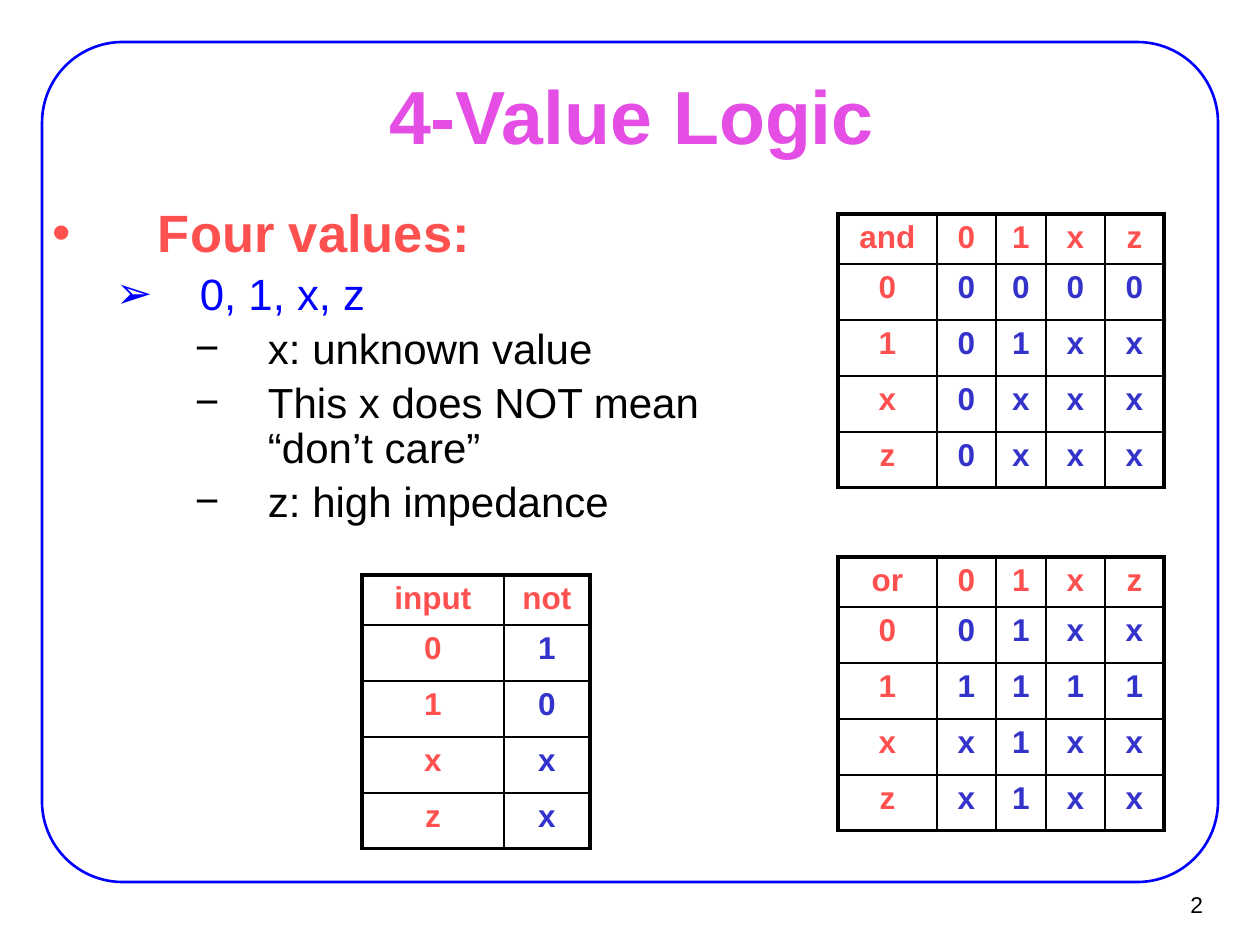
"""Builds the 4-Value Logic slide with its and, or and not truth tables."""
from dataclasses import dataclass
from typing import Any

from lxml import etree
from pptx import Presentation
from pptx.dml.color import RGBColor
from pptx.enum.shapes import MSO_SHAPE
from pptx.enum.text import MSO_ANCHOR, PP_ALIGN
from pptx.oxml.ns import qn
from pptx.util import Emu, Pt

ROUNDED = MSO_SHAPE.ROUNDED_RECTANGLE
MIDDLE, TOP = MSO_ANCHOR.MIDDLE, MSO_ANCHOR.TOP
LEFT, CENTER, RIGHT = PP_ALIGN.LEFT, PP_ALIGN.CENTER, PP_ALIGN.RIGHT
PX_PER_INCH = 126


@dataclass(frozen=True)
class Theme:
    font: str = "Arial"
    title: str = "E44EE4"
    heading: str = "FF5050"
    accent: str = "0000FF"
    value: str = "3333CC"
    ink: str = "000000"
    title_size: int = 43
    heading_size: int = 30
    list_size: int = 25
    detail_size: int = 24
    table_size: int = 18
    number_size: int = 13
    frame_line: float = 1.5
    outer_line: float = 2.25
    inner_line: float = 1


@dataclass(frozen=True)
class Style:
    size: int
    color: str
    bold: bool = False
    align: PP_ALIGN = LEFT
    bullet: str = ""
    level: int = 0
    margin: int = 0
    hanging: int = 0
    spacing: tuple[tuple[str, int], ...] = ()


@dataclass(frozen=True)
class TextBlock:
    area: tuple[int, int, int, int]
    insets: tuple[int, int]
    anchor: MSO_ANCHOR
    lines: tuple[tuple[str, Style], ...]


@dataclass(frozen=True)
class TruthTable:
    left: int
    top: int
    columns: tuple[int, ...]
    rows: tuple[str, ...]


THEME = Theme()
BEFORE = (("spcBef", 20),)
LIST_SPACING = (("lnSpc", 90),) + BEFORE
TITLE = Style(THEME.title_size, THEME.title, True, CENTER)
NUMBER = Style(THEME.number_size, THEME.ink, align=RIGHT)
HEADING = Style(THEME.heading_size, THEME.heading, True, LEFT, "•", 0, 105, 105, LIST_SPACING)
VALUES = Style(THEME.list_size, THEME.accent, False, LEFT, "➢", 1, 147, 84, LIST_SPACING)
DETAIL = Style(THEME.detail_size, THEME.ink, False, LEFT, "−", 2, 215, 73, LIST_SPACING)
LABEL_CELL = Style(THEME.table_size, THEME.heading, True, CENTER, spacing=BEFORE)
VALUE_CELL = Style(THEME.table_size, THEME.value, True, CENTER, spacing=BEFORE)

FRAME = (42, 42, 1176, 840)
TEXT_BLOCKS = (
    TextBlock((1137, 881, 77, 47), (11, 5), MIDDLE, (("2", NUMBER),)),
    TextBlock((96, 83, 1071, 62), (14, 8), MIDDLE, (("4-Value Logic", TITLE),)),
    TextBlock((39, 199, 738, 312), (14, 8), TOP, (
        ("Four values:", HEADING),
        ("0, 1, x, z", VALUES),
        ("x: unknown value", DETAIL),
        ("This x does NOT mean “don’t care”", DETAIL),
        ("z: high impedance", DETAIL),
    )),
)
GATE_COLUMNS = (99, 59, 50, 59, 59)
HEADER_HEIGHT, ROW_HEIGHT = 50, 56
TRUTH_TABLES = (
    TruthTable(838, 214, GATE_COLUMNS,
               ("and 0 1 x z", "0 0 0 0 0", "1 0 1 x x", "x 0 x x x", "z 0 x x x")),
    TruthTable(838, 557, GATE_COLUMNS,
               ("or 0 1 x z", "0 0 1 x x", "1 1 1 1 1", "x x 1 x x", "z x 1 x x")),
    TruthTable(362, 575, (142, 86), ("input not", "0 1", "1 0", "x x", "z x")),
)


def px(length: int) -> Emu:
    """Convert whole pixels to EMU."""
    return Emu(round(length * 914400 / PX_PER_INCH))


def apply(target: Any, values: dict[str, Any]) -> None:
    """Set each named attribute on the target."""
    for name, value in values.items():
        setattr(target, name, value)


def margins(horizontal: int, vertical: int) -> dict[str, Emu]:
    """Return the four inner margins of a box or cell."""
    return {"margin_left": px(horizontal), "margin_right": px(horizontal),
            "margin_top": px(vertical), "margin_bottom": px(vertical)}


def write(para: Any, text: str, style: Style) -> None:
    """Fill one paragraph with styled text."""
    apply(para, {"alignment": style.align, "level": style.level})
    properties = para._p.get_or_add_pPr()
    properties.set("marL", str(px(style.margin)))
    properties.set("indent", str(-px(style.hanging)))
    for tag, percent in style.spacing:
        holder = etree.SubElement(properties, qn(f"a:{tag}"))
        etree.SubElement(holder, qn("a:spcPct"), val=str(percent * 1000))
    if style.bullet:
        etree.SubElement(properties, qn("a:buFont"), typeface=THEME.font)
        etree.SubElement(properties, qn("a:buChar"), char=style.bullet)
    span = para.add_run()
    span.text = text
    apply(span.font, {"name": THEME.font, "size": Pt(style.size), "bold": style.bold})
    span.font.color.rgb = RGBColor.from_string(style.color)


def draw_frame(page: Any) -> None:
    """Draw the rounded border of the page."""
    frame = page.shapes.add_shape(ROUNDED, *map(px, FRAME))
    frame.shadow.inherit = False
    frame.adjustments[0] = 0.096
    frame.fill.background()
    frame.line.color.rgb = RGBColor.from_string(THEME.accent)
    frame.line.width = Pt(THEME.frame_line)


def draw_text(page: Any, block: TextBlock) -> None:
    """Draw a text box with one paragraph per line."""
    frame = page.shapes.add_textbox(*map(px, block.area)).text_frame
    apply(frame, {"word_wrap": True, "vertical_anchor": block.anchor, **margins(*block.insets)})
    for index, (text, style) in enumerate(block.lines):
        write(frame.add_paragraph() if index else frame.paragraphs[0], text, style)


def draw_borders(cell: Any, outer_sides: dict[str, bool]) -> None:
    """Rule a cell with heavy lines on the outer sides."""
    properties = cell._tc.get_or_add_tcPr()
    for index, (side, is_outer) in enumerate(outer_sides.items()):
        width = Pt(THEME.outer_line if is_outer else THEME.inner_line)
        line = etree.Element(qn(f"a:ln{side}"), w=str(width))
        fill = etree.SubElement(line, qn("a:solidFill"))
        etree.SubElement(fill, qn("a:srgbClr"), val=THEME.ink)
        properties.insert(index, line)


def draw_table(page: Any, truth: TruthTable) -> None:
    """Draw a truth table with coloured labels and values."""
    heights = [HEADER_HEIGHT] + [ROW_HEIGHT] * (len(truth.rows) - 1)
    area = (truth.left, truth.top, sum(truth.columns), sum(heights))
    table = page.shapes.add_table(len(heights), len(truth.columns), *map(px, area)).table
    apply(table, {"first_row": False, "horz_banding": False})
    for column, width in zip(table.columns, truth.columns):
        column.width = px(width)
    last_row, last_column = len(heights) - 1, len(truth.columns) - 1
    for r, (height, row) in enumerate(zip(heights, truth.rows)):
        table.rows[r].height = px(height)
        for c, text in enumerate(row.split()):
            cell = table.cell(r, c)
            apply(cell, margins(13, 6))
            cell.fill.background()
            write(cell.text_frame.paragraphs[0], text, VALUE_CELL if r and c else LABEL_CELL)
            draw_borders(cell, {"L": c == 0, "R": c == last_column,
                                "T": r == 0, "B": r == last_row})


def main() -> None:
    """Build and save the deck."""
    deck = Presentation()
    apply(deck, {"slide_width": px(1260), "slide_height": px(945)})
    page = deck.slides.add_slide(deck.slide_layouts[6])
    draw_frame(page)
    for block in TEXT_BLOCKS:
        draw_text(page, block)
    for truth in TRUTH_TABLES:
        draw_table(page, truth)
    deck.save("out.pptx")


if __name__ == "__main__":
    main()
